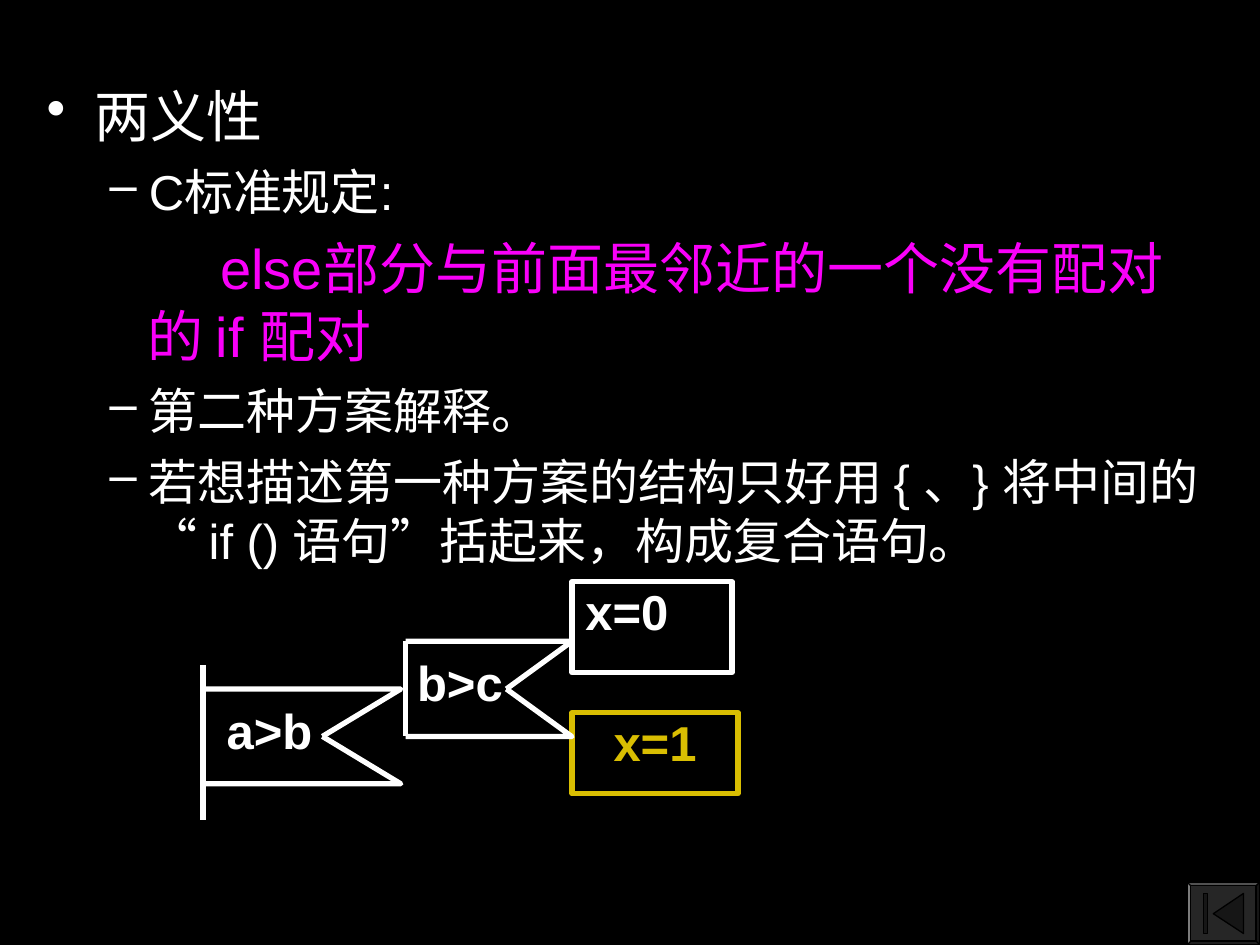
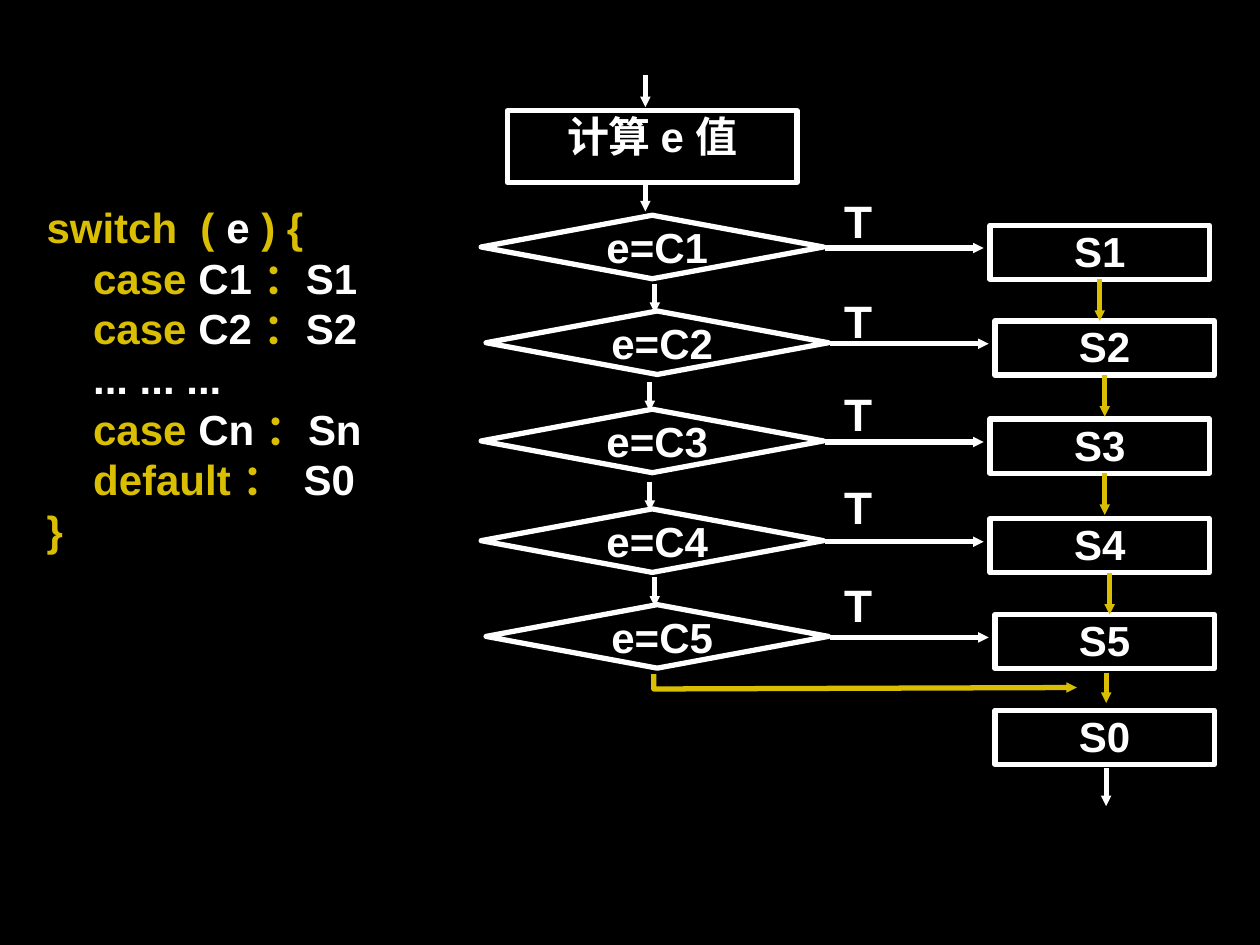
from dataclasses import dataclass
from itertools import cycle
from typing import NamedTuple

from lxml.etree import SubElement
from pptx import Presentation
from pptx.dml.color import RGBColor
from pptx.enum.shapes import MSO_CONNECTOR, MSO_SHAPE as SHAPE
from pptx.enum.text import MSO_ANCHOR as ANCHOR, PP_ALIGN as ALIGN
from pptx.oxml.ns import qn
from pptx.util import Cm, Pt


@dataclass(frozen=True)
class Theme:
    ground: str = "000000"
    ink: str = "FFFFFF"
    accent: str = "D9BE02"
    rule: str = "F900F9"
    button: str = "262626"
    icon: str = "161616"
    font: str = "Arial"
    quote_font: str = "Roboto"
    heading: int = 32
    body: int = 28
    chart: int = 24
    stroke: float = 3
    hairline: float = 0.75


class Box(NamedTuple):
    left: float
    top: float
    width: float
    height: float

    def inner(self, x, y, width=0, height=0):
        """Return a box given by its offset inside this one."""
        return Box(self.left + x, self.top + y, width, height)

    def point(self, x, y):
        return Cm(self.left + x), Cm(self.top + y)

    def lengths(self):
        return [Cm(value) for value in self]


THEME = Theme()
CODE = [
    ("switch  ( ", "e", " ) {"),
    ("    case ", "C1 ", "：", "S1"),
    ("    case ", "C2 ", "：", "S2"),
    ("", "    ... ... ..."),
    ("    case", " Cn ", "：", "Sn"),
    ("    default ：  ", "S0"),
    ("}",),
]
# Sideways shift, top of the row, top of the T label within the row
ROWS = [(0, 2.82, -0.51), (0.1, 4.75, -0.43), (0, 6.73, -0.53),
        (0, 8.74, -0.66), (0.1, 10.67, -0.61)]


def set_values(target, values):
    for name, value in values.items():
        setattr(target, name, value)


def paint(shape, line, fill=None, width=THEME.stroke):
    shape.shadow.inherit = False
    if fill:
        shape.fill.solid()
        shape.fill.fore_color.rgb = RGBColor.from_string(fill)
    else:
        shape.fill.background()
    shape.line.color.rgb = RGBColor.from_string(line)
    shape.line.width = Pt(width)


def add_arrowhead(line):
    outline = line.element.spPr.find(qn("a:ln"))
    SubElement(outline, qn("a:tailEnd"), type="triangle", w="sm", len="sm")


def add_span(para, text, size, color=THEME.ink, bold=True, font=THEME.font):
    span = para.add_run()
    span.text = text
    set_values(span.font, {"name": font, "size": Pt(size), "bold": bold})
    span.font.color.rgb = RGBColor.from_string(color)


def set_margins(frame, left=0, top=0, right=0, bottom=0):
    set_values(frame, {"margin_left": Cm(left), "margin_top": Cm(top),
                       "margin_right": Cm(right), "margin_bottom": Cm(bottom)})


def write_label(shape, text, size, color=THEME.ink, align=ALIGN.CENTER,
                anchor=ANCHOR.TOP, indent=0, wrap=True):
    frame = shape.text_frame
    set_margins(frame, left=indent)
    set_values(frame, {"word_wrap": wrap, "vertical_anchor": anchor})
    para = frame.paragraphs[0]
    para.alignment = align
    add_span(para, text, size, color)


def add_text_box(page, box):
    text_box = page.shapes.add_textbox(*box.lengths())
    text_box.text_frame.word_wrap = True
    return text_box


def add_node(page, box, text, size, kind=SHAPE.RECTANGLE, color=THEME.ink,
             **label):
    node = page.shapes.add_shape(kind, *box.lengths())
    paint(node, color)
    write_label(node, text, size, color, **label)
    return node


def add_line(page, box, start, end, color=THEME.ink, arrow=True, source=None):
    """Draw a line between two points of the box, from the foot of source if given."""
    line = page.shapes.add_connector(
        MSO_CONNECTOR.STRAIGHT, *box.point(*start), *box.point(*end))
    if source is not None:
        line.begin_connect(source, 2)
    line.line.color.rgb = RGBColor.from_string(color)
    line.line.width = Pt(THEME.stroke)
    if arrow:
        add_arrowhead(line)
    SubElement(line.element.spPr, qn("a:effectLst"))


def add_outline(page, box, points, color=THEME.ink, fill=None,
                width=THEME.stroke):
    first, *others = [box.point(*point) for point in points]
    builder = page.shapes.build_freeform(*first)
    builder.add_line_segments(others, close=fill is not None)
    outline = builder.convert_to_shape()
    paint(outline, color, fill, width)
    return outline


def add_page(deck):
    page = deck.slides.add_slide(deck.slide_layouts[6])
    page.background.fill.solid()
    page.background.fill.fore_color.rgb = RGBColor.from_string(THEME.ground)
    return page


def format_paragraph(para, left, indent, before=0, bullet=None):
    properties = para._p.get_or_add_pPr()
    properties.set("marL", str(Cm(left)))
    properties.set("indent", str(Cm(indent)))
    if bullet:
        color = SubElement(properties, qn("a:buClr"))
        SubElement(color, qn("a:srgbClr"), val=THEME.ink)
        SubElement(properties, qn("a:buChar"), char=bullet)
    para.space_before = Pt(before)


def add_rules_text(page, box):
    frame = add_text_box(page, box).text_frame

    def add_dash_item(*spans):
        para = frame.add_paragraph()
        format_paragraph(para, 2.06, -0.79, 7, "–")
        for text, font in spans:
            add_span(para, text, THEME.body, bold=False, font=font)

    heading = frame.paragraphs[0]
    format_paragraph(heading, 0.97, -0.97, bullet="•")
    add_span(heading, "两义性", THEME.heading, bold=False)

    add_dash_item(("C标准规定:", THEME.font))
    rule = frame.add_paragraph()
    format_paragraph(rule, 2.03, 1.47, 8)
    add_span(rule, "else部分与前面最邻近的一个没有配对",
             THEME.heading, THEME.rule, False)
    rule.add_line_break()
    add_span(rule, "的 if 配对", THEME.heading, THEME.rule, False)

    add_dash_item(("第二种方案解释。", THEME.font))
    add_dash_item(("若想描述第一种方案的结构只好用 { 、} 将中间的 ", THEME.font),
                  ("“ ", THEME.quote_font), ("if () 语句", THEME.font),
                  ("”", THEME.quote_font),
                  ("括起来，构成复合语句。", THEME.font))


def add_branch(page, box, text, notch, text_left, rail):
    """Draw a condition whose two arms meet at the notch."""
    add_line(page, box, (0, rail[0]), (0, rail[1]), arrow=False)
    for edge in (box.height, 0):
        add_outline(page, box, [(0, edge), (box.width, edge),
                                (notch, box.height / 2)])
    label = add_text_box(page, box.inner(text_left, 0.23, 2.7, 1.4))
    write_label(label, text, THEME.body, align=ALIGN.LEFT)


def add_nested_if(page, box):
    add_branch(page, box.inner(0, 2.16, 3.99, 1.91), "a>b", 2.41, 0.48,
               (-0.48, 2.64))
    add_node(page, box.inner(7.44, 2.64, 3.35, 1.63), "x=1", THEME.body,
             color=THEME.accent)
    add_branch(page, box.inner(4.09, 1.2, 3.35, 1.92), "b>c", 2.03, 0.23,
               (0, 1.91))
    add_node(page, box.inner(7.44, 0, 3.23, 1.83), "x=0", THEME.body,
             align=ALIGN.LEFT, indent=0.27)


def add_return_button(page, box):
    button = page.shapes.add_shape(SHAPE.BEVEL, *box.lengths())
    button.adjustments[0] = 0.06
    paint(button, THEME.ground, THEME.button, THEME.hairline)
    triangle = [(0.53, 0.64), (1.14, 0.23), (1.14, 1.04)]
    bar = [(0.33, 0.23), (0.41, 0.23), (0.41, 1.04), (0.33, 1.04)]
    for points in (triangle, bar):
        add_outline(page, box, points, THEME.ground, THEME.icon,
                    THEME.hairline)


def add_code(page, box):
    frame = add_text_box(page, box).text_frame
    for number, line in enumerate(CODE):
        para = frame.add_paragraph() if number else frame.paragraphs[0]
        for text, color in zip(line, cycle((THEME.accent, THEME.ink))):
            if text:
                add_span(para, text, THEME.chart, color)


def add_case_row(page, row, number, label_top, shift):
    """Draw one test with its T arrow and return its statement box."""
    if number > 1:
        add_line(page, row, (3.4, -0.55), (3.4, 0.04))
    add_node(page, row.inner(0, 0, 6.9, 1.28), f"e=C{number}", THEME.chart,
             SHAPE.DIAMOND, anchor=ANCHOR.MIDDLE, indent=0.2, wrap=False)
    add_line(page, row, (6.94, 0.66), (10.13, 0.66))
    label = add_text_box(page, row.inner(6.93 - shift, label_top, 1.88, 1.27))
    write_label(label, "Ｔ", THEME.chart, align=ALIGN.LEFT)
    set_margins(label.text_frame, 0.25, 0.13, 0.25, 0.13)
    return add_node(page, row.inner(10.26, 0.2, 4.42, 1.09), f"S{number}",
                    THEME.chart)


def add_flowchart(page, box):
    add_node(page, box.inner(0.53, 0.71, 5.84, 1.45), "计算 e 值", THEME.chart)
    for top, bottom in ((0, 0.64), (2.16, 2.74)):
        add_line(page, box, (3.31, top), (3.31, bottom))

    statements = [
        add_case_row(page, box.inner(shift, top), number, label_top, shift)
        for number, (shift, top, label_top) in enumerate(ROWS, 1)]
    add_node(page, box.inner(10.36, 12.8, 4.42, 1.09), "S0", THEME.chart)

    falls = [(12.47, statements[0]), (12.57, statements[1]),
             (12.57, None), (12.67, None)]
    for (x, source), (_, top, _) in zip(falls, ROWS):
        add_line(page, box, (x, top + 1.29), (x, top + 2.13), THEME.accent,
                 source=source)
    add_line(page, box, (12.6, 12.04), (12.6, 12.65), THEME.accent)
    add_line(page, box, (12.6, 13.97), (12.6, 14.73))
    default_way = add_outline(
        page, box, [(3.48, 12.07), (3.48, 12.37), (12.01, 12.34)],
        THEME.accent)
    add_arrowhead(default_way)


def main():
    deck = Presentation()
    deck.slide_width, deck.slide_height = Cm(25.4), Cm(19.05)

    ambiguity = add_page(deck)
    add_rules_text(ambiguity, Box(0.69, 1.52, 24.1, 16))
    add_nested_if(ambiguity, Box(4.09, 11.73, 10.8, 4.8))
    add_return_button(ambiguity, Box(23.93, 17.78, 1.47, 1.27))

    switch = add_page(deck)
    add_flowchart(switch, Box(9.7, 1.52, 14.8, 14.8))
    add_code(switch, Box(0.69, 3.94, 7.8, 7.37))
    deck.save("out.pptx")


if __name__ == "__main__":
    main()
